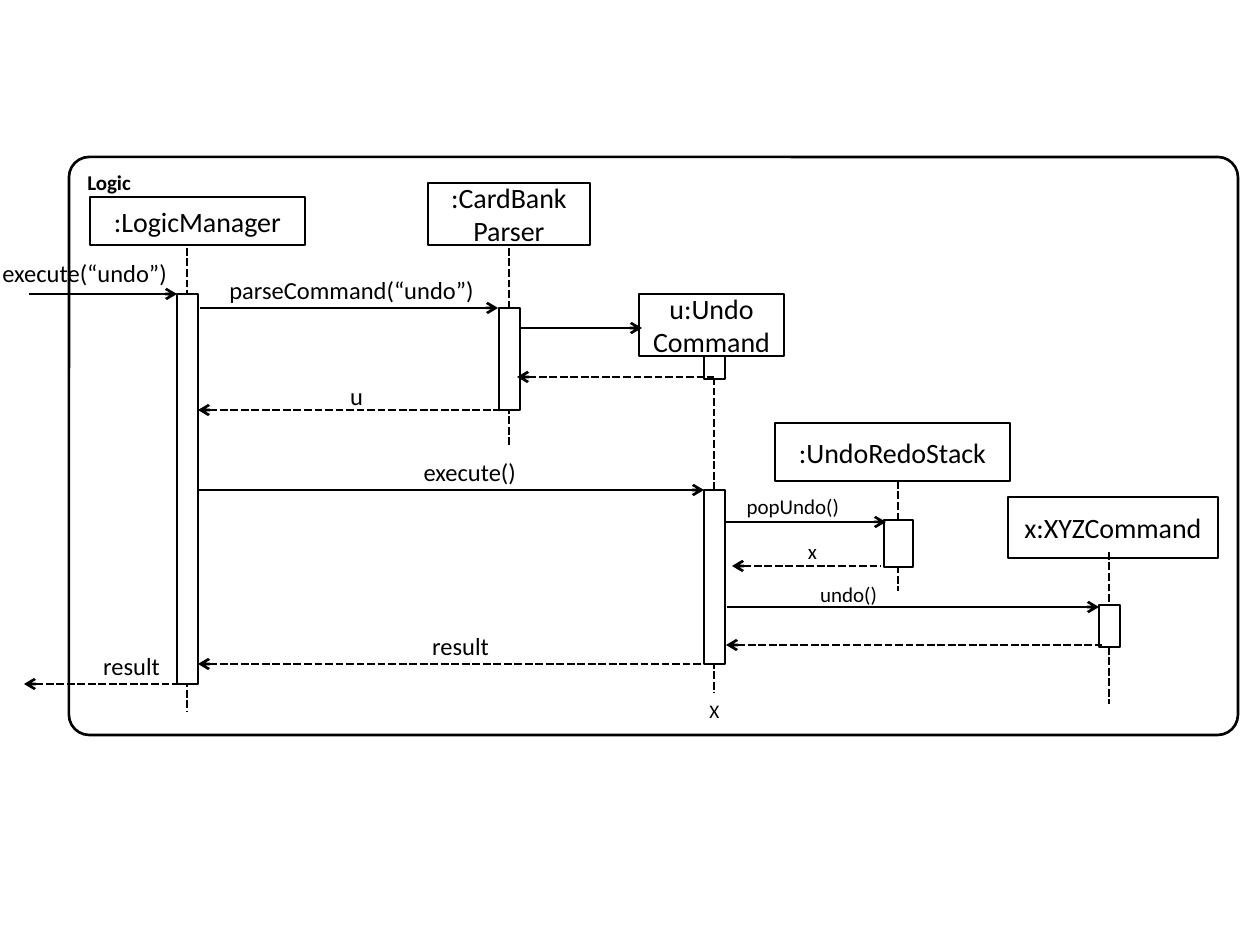
import pptx
import pptx.util
from pptx.dml.color import RGBColor
from pptx.enum.dml import MSO_LINE
from pptx.enum.shapes import MSO_CONNECTOR, MSO_SHAPE
from pptx.enum.text import MSO_ANCHOR, MSO_AUTO_SIZE, PP_ALIGN
from pptx.oxml.ns import qn
from lxml import etree

SIZE = (1260, 945)
FRAME = ("Logic", (69, 157, 1169, 578))

# Participant name, box (left, top, width, height); \n is a paragraph, \v a line break
HEADS = [
    (":LogicManager", (90, 197, 215, 48)),
    (":CardBank\nParser", (428, 183, 162, 62)),
    ("u:Undo\vCommand", (639, 294, 145, 62)),
    (":UndoRedoStack", (775, 423, 235, 58)),
    ("x:XYZCommand", (1008, 497, 210, 61)),
]

# x, top, bottom
LIFELINES = [
    (187, 248, 711),
    (509, 248, 445),
    (714, 356, 693),
    (898, 481, 591),
    (1109, 552, 704),
]

# Left, top, width, height
ACTIVATIONS = [
    (177, 294, 21, 390),
    (499, 308, 21, 102),
    (704, 356, 21, 23),
    (704, 490, 21, 174),
    (884, 520, 29, 47),
    (1099, 605, 21, 42),
]

# Left x, right x, y
CALLS = [
    (29, 177, 294),
    (200, 498, 308),
    (521, 642, 328),
    (198, 704, 490),
    (726, 886, 522),
    (727, 1099, 607),
]
RETURNS = [
    (517, 714, 377),
    (198, 508, 410),
    (732, 881, 566),
    (726, 1102, 645),
    (198, 704, 664),
    (24, 182, 684),
]

# Text, type size key, alignment, box
RIGHT, CENTER = PP_ALIGN.RIGHT, PP_ALIGN.CENTER
LABELS = [
    ("execute(“undo”)", "message", RIGHT, (-21, 258, 188, 29)),
    ("parseCommand(“undo”)", "message", RIGHT, (223, 275, 251, 29)),
    ("u", "message", RIGHT, (334, 381, 29, 29)),
    ("execute()", "message", RIGHT, (403, 457, 113, 29)),
    ("popUndo()", "small", RIGHT, (738, 494, 101, 24)),
    ("x", "small", CENTER, (762, 539, 101, 24)),
    ("undo()", "small", RIGHT, (776, 582, 101, 24)),
    ("result", "message", RIGHT, (407, 631, 82, 29)),
    ("result", "message", RIGHT, (59, 651, 101, 29)),
]
DESTROYED = ("X", (697, 693, 34, 35))

THEME = {
    "font": "Calibri",
    "ink": RGBColor(0, 0, 0),
    "paper": RGBColor(255, 255, 255),
    "thick": 1.5,
    "thin": 0.75,
    "head": 16,
    "message": 14,
    "small": 12,
    "destroyed": 11,
}


def px(n):
    return pptx.util.Emu(round(n * 914400 / 126))


def add_box(shapes, box, line="ink", width="thick", filled=False, kind=MSO_SHAPE.RECTANGLE):
    sp = shapes.add_shape(kind, *map(px, box))
    sp.shadow.inherit = False
    if filled:
        sp.fill.solid()
        sp.fill.fore_color.rgb = THEME["paper"]
    else:
        sp.fill.background()
    sp.line.color.rgb = THEME[line]
    sp.line.width = pptx.util.Pt(THEME[width])
    return sp


def write(sp, text, size, align, anchor=MSO_ANCHOR.TOP, bold=False):
    tf = sp.text_frame
    tf.text = text
    tf.word_wrap = True
    tf.vertical_anchor = anchor
    for p in tf.paragraphs:
        p.alignment = align
        p.font.name = THEME["font"]
        p.font.size = pptx.util.Pt(THEME[size])
        p.font.bold = bold
        p.font.color.rgb = THEME["ink"]
    return tf


def add_line(shapes, x1, y1, x2, y2, dashed=False, arrow_at=None):
    """arrow_at is headEnd (first point), tailEnd (last point) or None."""
    cxn = shapes.add_connector(MSO_CONNECTOR.STRAIGHT, *map(px, (x1, y1, x2, y2)))
    cxn.line.color.rgb = THEME["ink"]
    cxn.line.width = pptx.util.Pt(THEME["thick"])
    if dashed:
        cxn.line.dash_style = MSO_LINE.SQUARE_DOT
    if arrow_at:
        etree.SubElement(cxn.line._get_or_add_ln(), qn("a:" + arrow_at), type="arrow")
    etree.SubElement(cxn._element.spPr, qn("a:effectLst"))


def main():
    prs = pptx.Presentation()
    prs.slide_width, prs.slide_height = map(px, SIZE)
    slide = prs.slides.add_slide(prs.slide_layouts[6])
    shapes = slide.shapes.add_group_shape().shapes

    for text, size, align, box in LABELS:
        tf = write(add_box(shapes, box, "paper", "thin"), text, size, align)
        tf.margin_left = tf.margin_right = tf.margin_top = tf.margin_bottom = 0
        tf.auto_size = MSO_AUTO_SIZE.SHAPE_TO_FIT_TEXT

    text, box = DESTROYED
    tf = write(add_box(shapes, box, "paper", "thin"), text, "destroyed", PP_ALIGN.LEFT)
    tf.word_wrap = False
    tf.auto_size = MSO_AUTO_SIZE.SHAPE_TO_FIT_TEXT

    text, box = FRAME
    frame = add_box(shapes, box, kind=MSO_SHAPE.ROUNDED_RECTANGLE)
    frame.adjustments[0] = 0.035
    write(frame, text, "small", PP_ALIGN.LEFT, bold=True)

    for x, top, bottom in LIFELINES:
        add_line(shapes, x, top, x, bottom, dashed=True)
    for text, box in HEADS:
        write(add_box(shapes, box), text, "head", CENTER, MSO_ANCHOR.MIDDLE)
    for box in ACTIVATIONS:
        add_box(shapes, box, width="thin", filled=True)
    for left, right, y in CALLS:
        add_line(shapes, left, y, right, y, arrow_at="tailEnd")
    for left, right, y in RETURNS:
        add_line(shapes, left, y, right, y, dashed=True, arrow_at="headEnd")

    prs.save("out.pptx")


if __name__ == "__main__":
    main()
